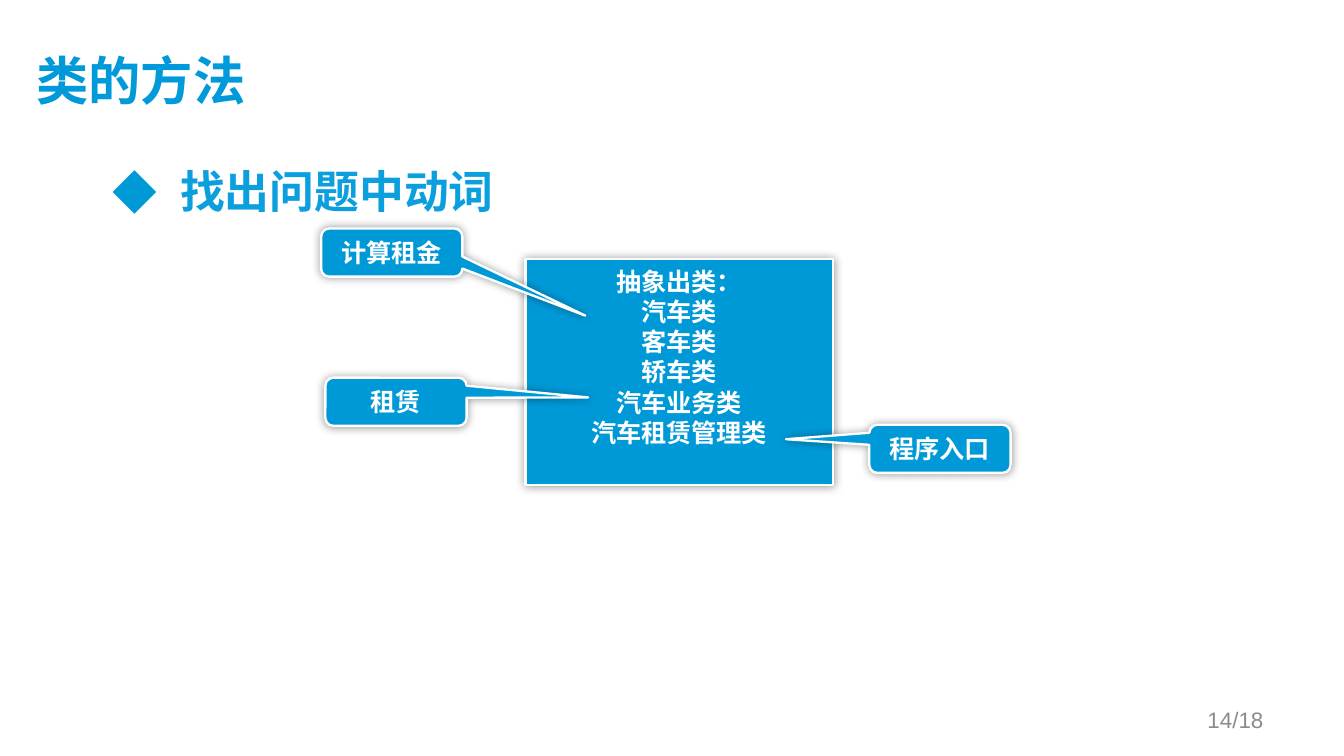
from dataclasses import dataclass

from lxml.etree import SubElement
from pptx import Presentation
from pptx.dml.color import RGBColor
from pptx.enum.shapes import MSO_SHAPE
from pptx.enum.text import MSO_ANCHOR, MSO_AUTO_SIZE, PP_ALIGN
from pptx.oxml.ns import qn
from pptx.util import Cm, Pt


@dataclass(frozen=True)
class Theme:
    """Colours, fonts and type sizes of the deck."""

    blue: str = "0099D8"
    title_blue: str = "0099D9"
    body_blue: str = "0B9FDD"
    white: str = "FFFFFF"
    grey: str = "8C8C8C"
    shadow: str = "000000"
    heading_font: str = "Noto Sans CJK SC"
    label_font: str = "Calibri"
    number_font: str = "Arial"
    title_size: float = 28
    body_size: float = 24
    label_size: float = 13.5
    number_size: float = 12


def write_text(frame, text, *, font, size, color, bold=True, align=PP_ALIGN.LEFT,
               anchor=MSO_ANCHOR.TOP, leading=None):
    """Fill a text frame with one formatted paragraph per line."""
    frame.word_wrap = True
    frame.auto_size = MSO_AUTO_SIZE.NONE
    frame.vertical_anchor = anchor
    for index, line in enumerate(text.split("\n")):
        para = frame.add_paragraph() if index else frame.paragraphs[0]
        para.alignment = align
        para.space_before = Pt(0)
        if leading:
            para.line_spacing = Pt(leading)
        span = para.add_run()
        span.text = line
        span.font.name = font
        span.font.size = Pt(size)
        span.font.bold = bold
        span.font.color.rgb = RGBColor.from_string(color)
        east_asian = SubElement(span.font._element, qn("a:ea"))
        east_asian.set("typeface", Theme.heading_font)


class SlideBuilder:
    """Holds the theme and the current slide."""

    def __init__(self, page, theme):
        """Keep the page and its theme."""
        self.page = page
        self.theme = theme

    def place(self, box, left, top, width, height):
        """Move and size a box in centimetres."""
        box.left, box.top, box.width, box.height = map(Cm, (left, top, width, height))

    def title(self, text, *bounds):
        """Write the title placeholder."""
        box = self.page.shapes.title
        self.place(box, *bounds)
        frame = box.text_frame
        frame.margin_left = frame.margin_top = 0
        write_text(frame, text, font=self.theme.heading_font, size=self.theme.title_size,
                   color=self.theme.title_blue, anchor=MSO_ANCHOR.MIDDLE)

    def bullets(self, text, *bounds):
        """Write the body placeholder as a diamond list."""
        box = self.page.placeholders[1]
        self.place(box, *bounds)
        write_text(box.text_frame, text, font=self.theme.heading_font,
                   size=self.theme.body_size, color=self.theme.body_blue, leading=30)
        for para in box.text_frame.paragraphs:
            properties = para._p.get_or_add_pPr()
            properties.set("marL", str(Cm(1.27)))
            properties.set("indent", str(-Cm(1.27)))
            color = SubElement(properties, qn("a:buClr"))
            SubElement(color, qn("a:srgbClr")).set("val", self.theme.blue)
            SubElement(properties, qn("a:buFont")).set("typeface", self.theme.heading_font)
            SubElement(properties, qn("a:buChar")).set("char", "◆")

    def panel(self, text, *bounds, kind=MSO_SHAPE.RECTANGLE):
        """Draw a blue shape with a white outline and a soft shadow."""
        box = self.page.shapes.add_shape(kind, *map(Cm, bounds))
        box.fill.solid()
        box.fill.fore_color.rgb = RGBColor.from_string(self.theme.blue)
        box.line.color.rgb = RGBColor.from_string(self.theme.white)
        box.line.width = Pt(1.25)
        self.soften(box)
        write_text(box.text_frame, text, font=self.theme.label_font,
                   size=self.theme.label_size, color=self.theme.white,
                   align=PP_ALIGN.CENTER, leading=16.2)
        return box

    def soften(self, box):
        """Give a shape an even shadow on all sides."""
        box.shadow.inherit = False
        effects = box._element.spPr.find(qn("a:effectLst"))
        shadow = SubElement(effects, qn("a:outerShdw"), blurRad=str(Pt(5)), dist="0",
                            dir="0", algn="ctr", rotWithShape="0")
        color = SubElement(shadow, qn("a:srgbClr"), val=self.theme.shadow)
        SubElement(color, qn("a:alpha"), val="40000")

    def callout(self, text, left, top, tip_x, tip_y):
        """Draw a rounded callout whose tip is relative to its centre."""
        box = self.panel(text, left, top, 2.67, 0.91,
                         kind=MSO_SHAPE.ROUNDED_RECTANGULAR_CALLOUT)
        box.adjustments[0] = tip_x
        box.adjustments[1] = tip_y

    def page_number(self, text, *bounds):
        """Write the page number at the lower right."""
        box = self.page.shapes.add_textbox(*map(Cm, bounds))
        write_text(box.text_frame, text, font=self.theme.number_font,
                   size=self.theme.number_size, color=self.theme.grey, bold=False,
                   align=PP_ALIGN.RIGHT, anchor=MSO_ANCHOR.MIDDLE)


def main():
    """Build and save the deck."""
    deck = Presentation()
    deck.slide_width, deck.slide_height = Cm(25.4), Cm(14.29)
    page = deck.slides.add_slide(deck.slide_layouts[1])
    builder = SlideBuilder(page, Theme())
    builder.title("类的方法", 0.69, 0.58, 22.73, 1.96)
    builder.bullets("找出问题中动词", 1.88, 2.92, 21.56, 9.42)
    classes = ["抽象出类：", "汽车类", "客车类", "轿车类", "汽车业务类", "汽车租赁管理类"]
    builder.panel("\n".join(classes), 9.93, 4.9, 5.82, 4.27)
    for text, left, top, tip_x, tip_y in (
        ("计算租金", 6.07, 4.32, 1.37, 1.31),
        ("租赁", 6.15, 7.14, 1.36, -0.09),
        ("程序入口", 16.43, 8.03, -1.09, -0.2),
    ):
        builder.callout(text, left, top, tip_x, tip_y)
    builder.page_number("14/18", 18.21, 13.23, 5.92, 0.76)
    deck.save("out.pptx")


if __name__ == "__main__":
    main()
